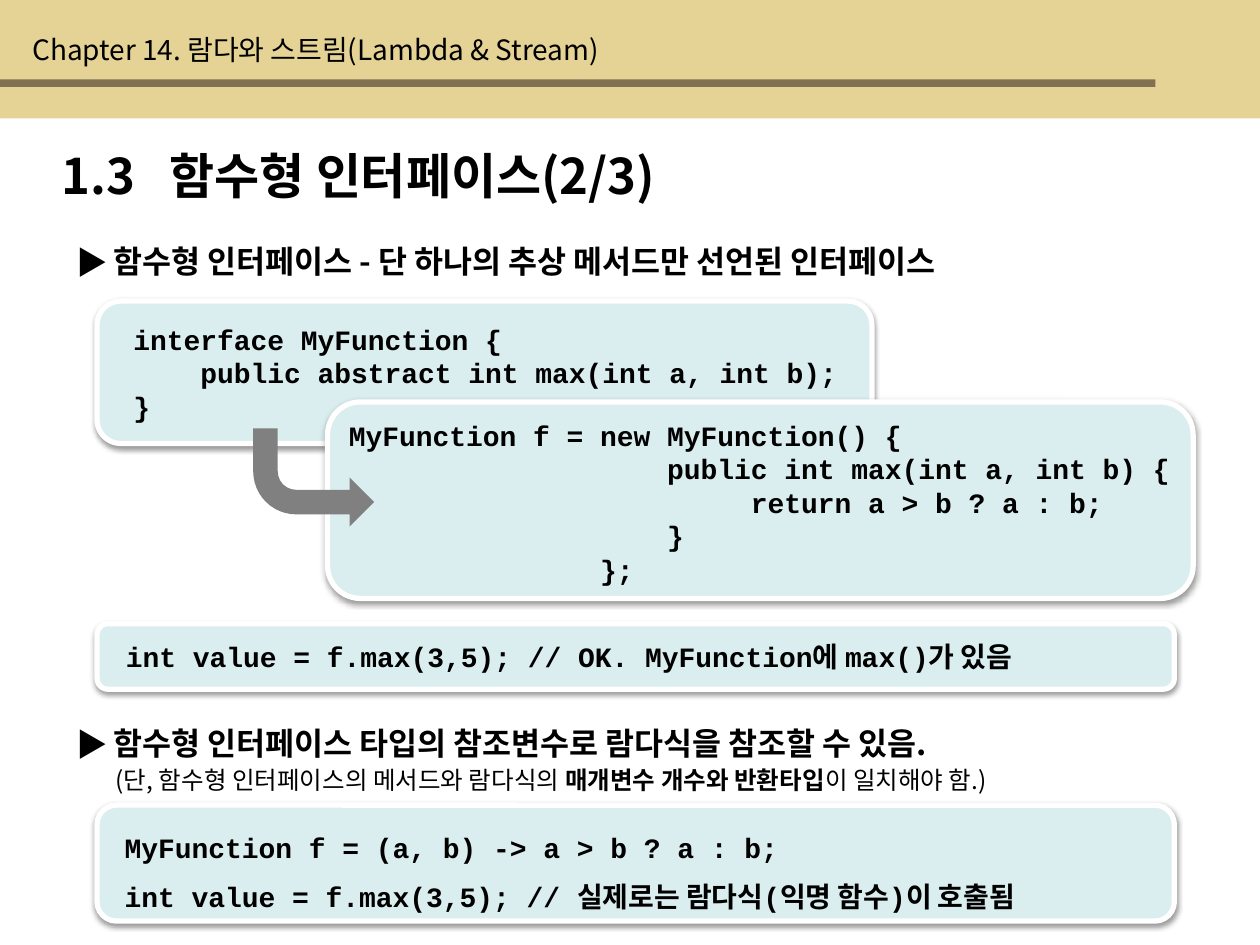
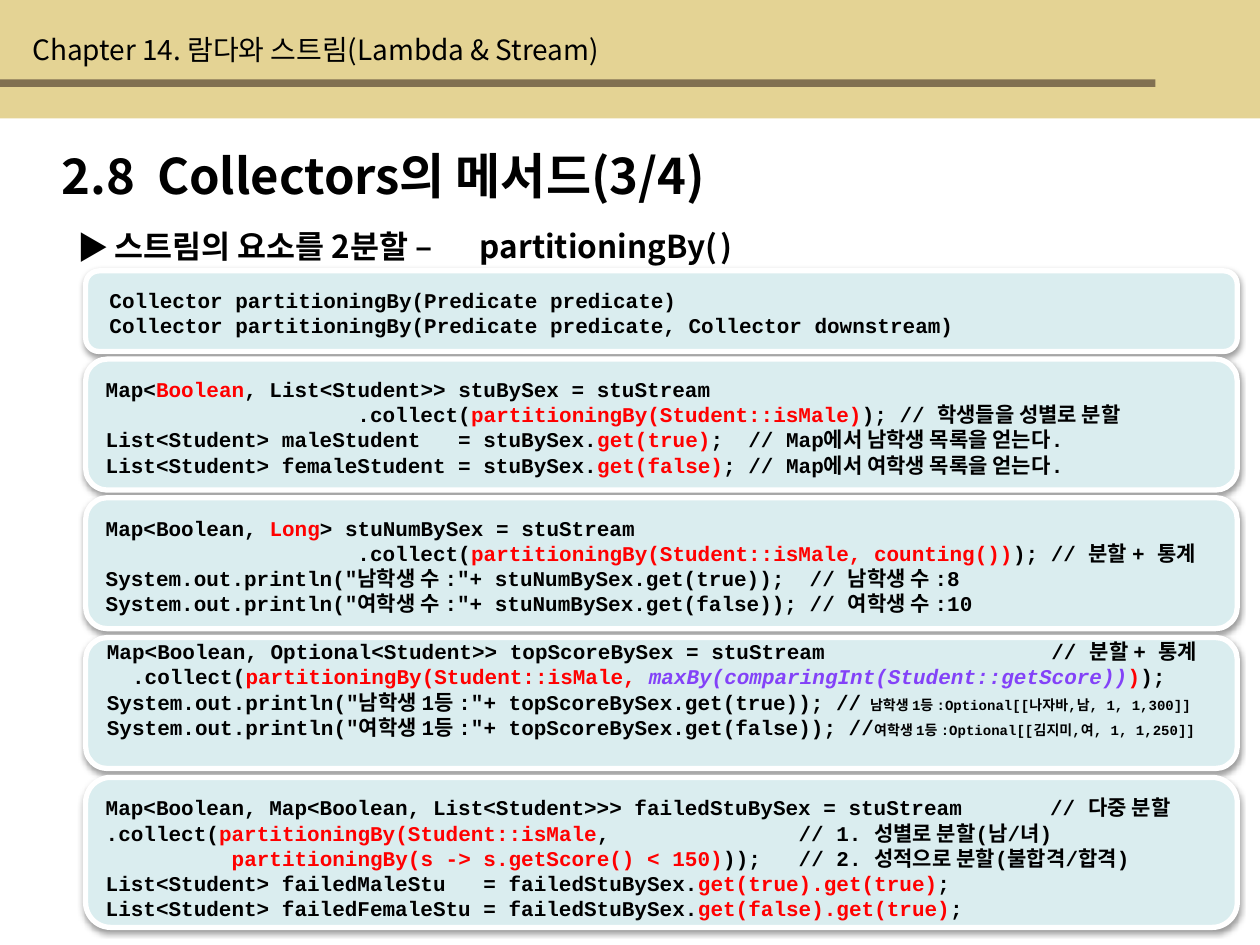
import pptx
import pptx.util
import pptx.dml.color
import pptx.enum.shapes
import pptx.enum.text
import pptx.oxml
import pptx.oxml.ns

Inches = pptx.util.Inches
Pt = pptx.util.Pt
RGBColor = pptx.dml.color.RGBColor
SHAPE = pptx.enum.shapes.MSO_SHAPE
ANCHOR = pptx.enum.text.MSO_ANCHOR
qn = pptx.oxml.ns.qn

SAND = RGBColor(0xE4, 0xD3, 0x94)
BROWN = RGBColor(0x81, 0x70, 0x51)
PALE = RGBColor(0xDA, 0xED, 0xEF)
WHITE = RGBColor(0xFF, 0xFF, 0xFF)
BLACK = RGBColor(0x00, 0x00, 0x00)
GRAY = RGBColor(0x80, 0x80, 0x80)
RED = RGBColor(0xFF, 0x00, 0x00)
VIOLET = RGBColor(0x83, 0x42, 0xF8)

SANS = "Noto Sans CJK KR"
CODE = "Courier New"
BOLD = {"bold": True}
HOT = {"color": RED}
SMALL = {"size": 8}
CHAPTER = "Chapter 14. 람다와 스트림(Lambda & Stream)"
SHADOW = (
    '<a:effectLst xmlns:a="http://schemas.openxmlformats.org/drawingml/2006/main">'
    '<a:outerShdw blurRad="39370" dist="20320" dir="5400000" rotWithShape="0">'
    '<a:srgbClr val="000000"><a:alpha val="38000"/></a:srgbClr>'
    '</a:outerShdw></a:effectLst>'
)


def write(slide, at, lines, font=SANS, size=16, bold=False, pitch=1.2,
          anchor=ANCHOR.TOP, bullet=None, tab=None, indent=0):
    frame = slide.shapes.add_textbox(*map(Inches, at)).text_frame
    frame.word_wrap = True
    frame.vertical_anchor = anchor
    for i, line in enumerate(lines):
        para = frame.paragraphs[0] if i == 0 else frame.add_paragraph()
        props = para._p.get_or_add_pPr()
        if indent:
            props.set("marL", str(Inches(indent)))
        if bullet:
            props.set("indent", str(-Inches(indent)))
            props.append(props.makeelement(qn("a:buFont"), {"typeface": SANS}))
            props.append(props.makeelement(qn("a:buChar"), {"char": bullet}))
        if tab:
            stops = props.makeelement(qn("a:tabLst"), {})
            stops.append(stops.makeelement(qn("a:tab"), {"pos": str(Inches(tab)), "algn": "l"}))
            props.append(stops)
        para.line_spacing = Pt(size * pitch)
        for part in [line] if isinstance(line, str) else line:
            words, style = (part, {}) if isinstance(part, str) else part
            run = para.add_run()
            run.text = words
            run.font.size = Pt(style.get("size", size))
            run.font.bold = style.get("bold", bold)
            run.font.italic = style.get("italic", False)
            run.font.color.rgb = style.get("color", BLACK)
            run.font.name = font
            mark = run.font._element
            mark.append(mark.makeelement(qn("a:ea"), {"typeface": SANS}))


def block(slide, kind, at, fill, rim=None):
    shape = slide.shapes.add_shape(kind, *map(Inches, at))
    shape.shadow.inherit = False
    shape.fill.solid()
    shape.fill.fore_color.rgb = fill
    if rim is None:
        shape.line.fill.background()
    else:
        shape.line.color.rgb = rim
        shape.line.width = Pt(3)
        props = shape.element.spPr
        props.remove(props.find(qn("a:effectLst")))
        props.append(pptx.oxml.parse_xml(SHADOW))
    return shape


deck = pptx.Presentation()
deck.slide_width = Inches(10)
deck.slide_height = Inches(7.5)

pages = []
for title, tab in [("1.3\t함수형 인터페이스(2/3)", 0.86), ("2.8\tCollectors의 메서드(3/4)", 0.76)]:
    slide = deck.slides.add_slide(deck.slide_layouts[6])
    block(slide, SHAPE.RECTANGLE, (0, 0, 10, 0.94), SAND)
    block(slide, SHAPE.RECTANGLE, (0, 0.63, 9.17, 0.06), BROWN)
    write(slide, (0.39, 1.11, 9.37, 0.57), [title], size=28, bold=True, tab=tab)
    write(slide, (0.16, 0.21, 6.22, 0.37), [CHAPTER])
    pages.append(slide)
lambdas, splits = pages

for top, point in [
    (1.87, "함수형 인터페이스 - 단 하나의 추상 메서드만 선언된 인터페이스"),
    (5.7, "함수형 인터페이스 타입의 참조변수로 람다식을 참조할 수 있음."),
]:
    write(lambdas, (0.51, top, 9.41, 0.4), [point], size=18, bold=True, bullet="▶", indent=0.29)

write(lambdas, (0.65, 6.02, 8.9, 0.34), [[
    "(단, 함수형 인터페이스의 메서드와 람다식의 ",
    ("매개변수 개수와 반환타입", BOLD),
    "이 일치해야 함.)",
]], size=14, indent=0.17)

samples = [
    ((0.77, 2.39, 6.15, 1.13), (0.96, 2.51, 5.95, 0.9), [
        "interface MyFunction {",
        "    public abstract int max(int a, int b);",
        "}",
    ], {}),
    ((2.6, 3.19, 6.87, 1.56), (2.67, 3.27, 6.88, 1.43), [
        "MyFunction f = new MyFunction() {",
        "                   public int max(int a, int b) {",
        "                        return a > b ? a : b;",
        "                   }",
        "               };",
    ], {}),
    ((0.77, 4.95, 8.55, 0.52), (0.9, 5.03, 8.25, 0.37), [
        "int value = f.max(3,5); // OK. MyFunction에 max()가 있음",
    ], {}),
    ((0.77, 6.39, 8.55, 0.92), (0.89, 6.39, 8.38, 0.91), [
        "MyFunction f = (a, b) -> a > b ? a : b;",
        "int value = f.max(3,5); // 실제로는 람다식(익명 함수)이 호출됨",
    ], {"pitch": 1.75, "anchor": ANCHOR.BOTTOM}),
]
for panel, at, code, style in samples:
    block(lambdas, SHAPE.ROUNDED_RECTANGLE, panel, PALE, WHITE)
    write(lambdas, at, code, font=CODE, bold=True, **style)

arrow = block(lambdas, SHAPE.BENT_ARROW, (2.01, 3.4, 0.96, 0.78), GRAY)
arrow.element.spPr.xfrm.set("flipV", "1")

write(splits, (0.52, 1.75, 9.41, 0.4),
      [["스트림의 요소를 2분할 –\tpartitioningBy(", (" ", SMALL), ")"]],
      size=18, bold=True, bullet="▶", indent=0.29, tab=3.19)

listings = [
    (2.15, 0.64, 2.23, 0.77, [
        "Collector partitioningBy(Predicate predicate)",
        "Collector partitioningBy(Predicate predicate, Collector downstream)",
    ]),
    (2.85, 1.04, 2.94, 0.74, [
        ["Map<", ("Boolean", HOT), ", List<Student>> stuBySex = stuStream"],
        ["                    .collect(", ("partitioningBy(Student::isMale)", HOT),
         "); // 학생들을 성별로 분할"],
        ["List<Student> maleStudent   = stuBySex.", ("get(true)", HOT),
         ";  // Map에서 남학생 목록을 얻는다."],
        ["List<Student> femaleStudent = stuBySex.", ("get(false)", HOT),
         "; // Map에서 여학생 목록을 얻는다."],
    ]),
    (3.95, 1.04, 4.04, 0.74, [
        ["Map<Boolean, ", ("Long", HOT), "> stuNumBySex = stuStream"],
        ["                    .collect(", ("partitioningBy(Student::isMale, counting())", HOT),
         "); // 분할 + 통계"],
        'System.out.println("남학생 수 :"+ stuNumBySex.get(true));  // 남학생 수 :8',
        'System.out.println("여학생 수 :"+ stuNumBySex.get(false)); // 여학생 수 :10',
    ]),
    (5.06, 1.04, 5.02, 0.75, [
        "Map<Boolean, Optional<Student>> topScoreBySex = stuStream                  // 분할 + 통계",
        ["  .collect(", ("partitioningBy(Student::isMale, ", HOT),
         ("maxBy(comparingInt(Student::getScore))", {"color": VIOLET, "italic": True}),
         (")", HOT), ");"],
        ['System.out.println("남학생 1등 :"+ topScoreBySex.get(true)); //',
         (" 남학생 1등 :Optional[[나자바,남, 1, 1,300]]", SMALL)],
        ['System.out.println("여학생 1등 :"+ topScoreBySex.get(false)); //',
         ("여학생 1등 :Optional[[김지미,여, 1, 1,250]]", SMALL)],
    ]),
    (6.17, 1.19, 6.26, 0.74, [
        "Map<Boolean, Map<Boolean, List<Student>>> failedStuBySex = stuStream       // 다중 분할",
        [".collect(", ("partitioningBy(Student::isMale", HOT),
         ",               // 1. 성별로 분할(남/녀)"],
        ["          ", ("partitioningBy(s -> s.getScore() < 150)", HOT),
         "));   // 2. 성적으로 분할(불합격/합격)"],
        ["List<Student> failedMaleStu   = failedStuBySex.", ("get(true).get(true)", HOT), ";"],
        ["List<Student> failedFemaleStu = failedStuBySex.", ("get(false).get(true)", HOT), ";"],
    ]),
]
for top, height, start, left, code in listings:
    block(splits, SHAPE.ROUNDED_RECTANGLE, (0.68, top, 9.14, height), PALE, WHITE)
    write(splits, (left, start, 9.22, 0.1 + 0.2 * len(code)), code, font=CODE, size=12, bold=True)

deck.save("out.pptx")
